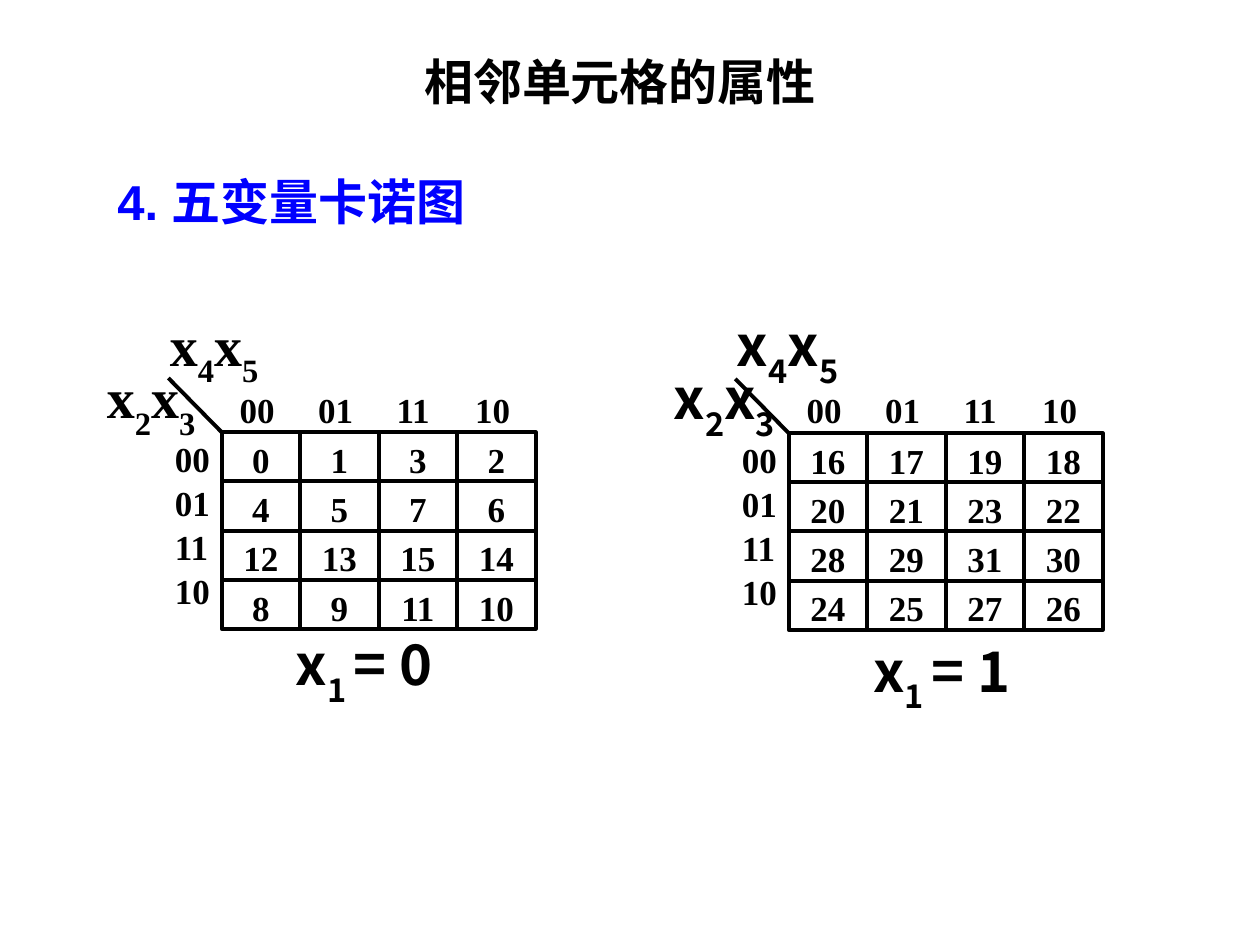
"""Build a slide with the two halves of a five-variable Karnaugh map."""
from lxml import etree
from pptx import Presentation
from pptx.dml.color import RGBColor
from pptx.enum.shapes import MSO_CONNECTOR, MSO_SHAPE
from pptx.enum.text import MSO_ANCHOR, PP_ALIGN
from pptx.oxml.ns import qn
from pptx.util import Pt

RECT, STRAIGHT = MSO_SHAPE.RECTANGLE, MSO_CONNECTOR.STRAIGHT
LEFT, CENTER = PP_ALIGN.LEFT, PP_ALIGN.CENTER
TOP, MIDDLE = MSO_ANCHOR.TOP, MSO_ANCHOR.MIDDLE
COLORS = {"ink": "000000", "heading": "0000FF"}
SANS, SERIF, CJK = "Arial", "Times New Roman", "Noto Sans CJK SC"
GRAY = (0, 1, 3, 2)
CODES = [f"{n:02b}" for n in GRAY]
CELL_W, CELL_H = 44.85, 28.1


class SlideBuilder:
    def __init__(self, prs):
        self.s = prs.slides.add_slide(prs.slide_layouts[5])
        self.line_width = Pt(2.25)

    def run(self, p, text, size, font, color="ink", sub=False):
        r = p.add_run()
        r.text = text
        r.font.size, r.font.bold, r.font.name = Pt(size), True, font
        r.font.color.rgb = RGBColor.from_string(COLORS[color])
        rPr = r.font._element
        etree.SubElement(rPr, qn("a:ea")).set("typeface", CJK)
        if sub:
            rPr.set("baseline", "-30000")

    def frame(self, sp, align=LEFT, anchor=TOP):
        tf = sp.text_frame
        tf.word_wrap, tf.vertical_anchor = True, anchor
        tf.paragraphs[0].alignment = align
        return tf

    def title(self, text, x, y, w, h):
        sp = self.s.shapes.title
        sp.left, sp.top, sp.width, sp.height = Pt(x), Pt(y), Pt(w), Pt(h)
        self.run(self.frame(sp, CENTER, MIDDLE).paragraphs[0], text, 28, SANS)

    def textbox(self, x, y, w, h):
        return self.frame(self.s.shapes.add_textbox(Pt(x), Pt(y), Pt(w), Pt(h)))

    def heading(self, text, x, y, w, h):
        p = self.textbox(x, y, w, h).paragraphs[0]
        self.run(p, text, 28, SANS, "heading")

    def formula(self, parts, x, y, w, font):
        p = self.textbox(x, y, w, 45.4).paragraphs[0]
        for i, part in enumerate(parts):
            self.run(p, part, 32, font, sub=i % 2 == 1)

    def column_codes(self, x, y):
        tf = self.textbox(x, y, 192, 31)
        tf.margin_left = Pt(17.4)
        p = tf.paragraphs[0]
        tabs = etree.SubElement(p._p.get_or_add_pPr(), qn("a:tabLst"))
        for col in range(1, len(CODES)):
            tab = etree.SubElement(tabs, qn("a:tab"))
            tab.set("pos", str(Pt(CELL_W * col)))
            tab.set("algn", "l")
        self.run(p, "\t".join(CODES), 20, SERIF)

    def row_codes(self, x, y):
        tf = self.textbox(x, y, 37.5, 100.8)
        for i, code in enumerate(CODES):
            p = tf.add_paragraph() if i else tf.paragraphs[0]
            p.line_spacing = 0.6
            if i:
                p.space_before = Pt(10.8)
            self.run(p, code, 20, SERIF)

    def cell(self, text, x, y):
        sp = self.s.shapes.add_shape(RECT, Pt(x), Pt(y), Pt(CELL_W), Pt(CELL_H))
        sp.shadow.inherit = False
        sp.fill.background()
        sp.line.color.rgb = RGBColor.from_string(COLORS["ink"])
        sp.line.width = self.line_width
        self.run(self.frame(sp, CENTER).paragraphs[0], text, 20, SERIF)

    def line(self, x1, y1, x2, y2):
        sp = self.s.shapes.add_connector(STRAIGHT, Pt(x1), Pt(y1), Pt(x2), Pt(y2))
        sp.line.color.rgb = RGBColor.from_string(COLORS["ink"])
        sp.line.width = self.line_width
        etree.SubElement(sp._element.spPr, qn("a:effectLst"))

    def karnaugh_map(self, x, y, first, font):
        for row, high in enumerate(GRAY):
            for col, low in enumerate(GRAY):
                self.cell(str(first + 4 * high + low), x + col * CELL_W, y + row * CELL_H)
        self.line(x, y, x - 30.5, y - 31)
        self.column_codes(x - 7.2, y - 28.8)
        self.row_codes(x - 33.8, y + 7.9)
        self.formula(("x", "2", "x", "3"), x - 72.7, y - 43.4, 95.8, font)
        self.formula(("x", "4", "x", "5"), x - 36.7, y - 73.3, 84, font)


def main():
    prs = Presentation()
    prs.slide_width, prs.slide_height = Pt(720), Pt(540)
    b = SlideBuilder(prs)
    b.title("相邻单元格的属性", 90, 20, 528.5, 52)
    b.heading("4. 五变量卡诺图", 60, 94.3, 360, 41)
    b.karnaugh_map(126.7, 247, 0, SERIF)
    b.karnaugh_map(450.7, 247.5, 16, CJK)
    b.formula(("x", "1 ", "= 0"), 162, 356.4, 144, CJK)
    b.formula(("x", "1 ", "= 1"), 492, 360, 144, CJK)
    prs.save("out.pptx")


if __name__ == "__main__":
    main()
